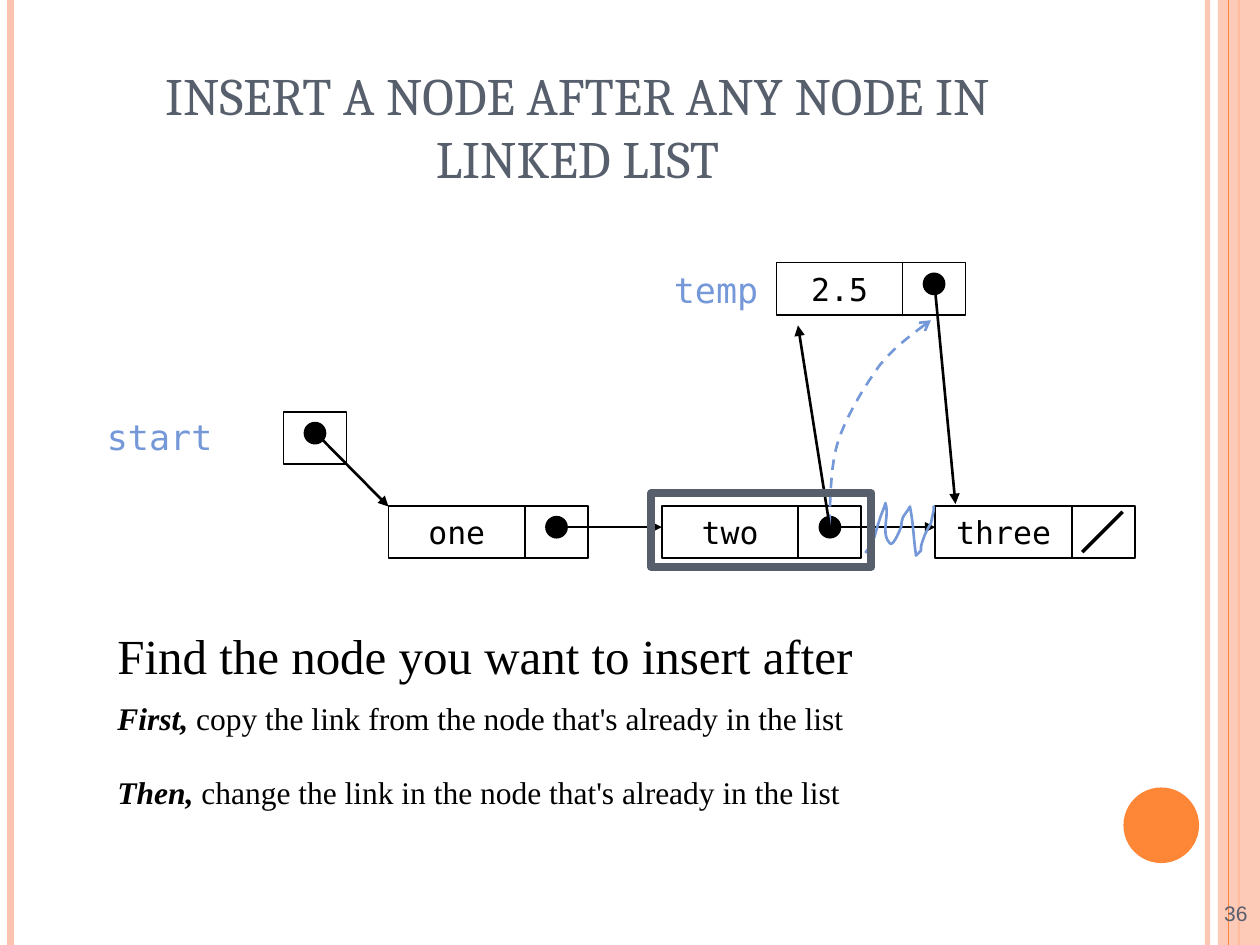
from dataclasses import dataclass

from lxml import etree
from pptx import Presentation
from pptx.dml.color import RGBColor
from pptx.enum.dml import MSO_LINE
from pptx.enum.shapes import MSO_CONNECTOR, MSO_SHAPE
from pptx.enum.text import MSO_ANCHOR, MSO_AUTO_SIZE, PP_ALIGN
from pptx.oxml.ns import qn
from pptx.util import Pt

RECTANGLE, ELLIPSE = MSO_SHAPE.RECTANGLE, MSO_SHAPE.OVAL
STRAIGHT, DASH = MSO_CONNECTOR.STRAIGHT, MSO_LINE.DASH
LEFT, CENTER, RIGHT = PP_ALIGN.LEFT, PP_ALIGN.CENTER, PP_ALIGN.RIGHT
TOP, MIDDLE, BOTTOM = MSO_ANCHOR.TOP, MSO_ANCHOR.MIDDLE, MSO_ANCHOR.BOTTOM
FIXED_SIZE = MSO_AUTO_SIZE.NONE

BLACK, SLATE, BLUE, ORANGE, PEACH = "000000", "575F6D", "7598D9", "FE8637", "FEC3AE"
MONO, SERIF = "DejaVu Sans Mono", "Times New Roman"
TITLE_ONLY = 5
SLIDE_WIDTH, SLIDE_HEIGHT = 720, 540
CELL_HEIGHT, POINTER_WIDTH, DOT_SIZE = 30, 36, 12
LIST_LEFT, LIST_TOP, NODE_PITCH, VALUE_WIDTH = 222, 289, 156.25, 78


@dataclass
class Node:
    left: float
    top: float
    value: str
    width: float = VALUE_WIDTH
    has_dot: bool = True


@dataclass
class Line:
    start: tuple[float, float]
    end: tuple[float, float]
    color: str = BLACK
    width: float = 1.5
    head: str | None = None
    opacity: int = 100


@dataclass
class Caption:
    box: tuple[float, float, float, float]
    text: str
    size: float
    font: str
    color: str = BLACK
    lead: str = ""
    alignment: PP_ALIGN = LEFT
    anchor: MSO_ANCHOR = TOP


def rgb(color: str) -> RGBColor:
    return RGBColor.from_string(color)


def set_opacity(shape, percent: int) -> None:
    for color in shape.element.spPr.iter(qn("a:srgbClr")):
        etree.SubElement(color, qn("a:alpha")).set("val", str(percent * 1000))


def set_arrowhead(shape, head: str) -> None:
    outline = shape.element.spPr.find(qn("a:ln"))
    etree.SubElement(outline, qn("a:tailEnd")).set("type", head)


def write(text_frame, text: str, *, size: float, font: str, color: str = BLACK,
          bold: bool = False, italic: bool = False, alignment=LEFT, anchor=TOP,
          wrap: bool = True) -> None:
    """Append one formatted run to the last paragraph."""
    text_frame.word_wrap = wrap
    text_frame.vertical_anchor = anchor
    paragraph = text_frame.paragraphs[-1]
    paragraph.alignment = alignment
    run = paragraph.add_run()
    run.text = text
    run.font.size, run.font.name = Pt(size), font
    run.font.bold, run.font.italic = bold, italic
    run.font.color.rgb = rgb(color)


def draw_shape(slide, kind, left: float, top: float, width: float, height: float,
               fill: str | None = None, line: str | None = None, line_width: float = 1):
    shape = slide.shapes.add_shape(kind, Pt(left), Pt(top), Pt(width), Pt(height))
    shape.shadow.inherit = False
    if fill:
        shape.fill.solid()
        shape.fill.fore_color.rgb = rgb(fill)
    else:
        shape.fill.background()
    if line:
        shape.line.color.rgb = rgb(line)
        shape.line.width = Pt(line_width)
    else:
        shape.line.fill.background()
    return shape


def draw_line(slide, line: Line) -> None:
    connector = slide.shapes.add_connector(
        STRAIGHT, *(Pt(value) for value in (*line.start, *line.end)))
    connector.line.color.rgb = rgb(line.color)
    connector.line.width = Pt(line.width)
    if line.head:
        set_arrowhead(connector, line.head)
    if line.opacity < 100:
        set_opacity(connector, line.opacity)
    etree.SubElement(connector.element.spPr, qn("a:effectLst"))


def draw_pointer(slide, left: float, top: float, has_dot: bool = True) -> None:
    draw_shape(slide, RECTANGLE, left, top, POINTER_WIDTH, CELL_HEIGHT, line=BLACK)
    if has_dot:
        draw_shape(slide, ELLIPSE, left + 12, top + 6.25, DOT_SIZE, DOT_SIZE, BLACK, BLACK)


def draw_node(slide, node: Node) -> None:
    cell = draw_shape(slide, RECTANGLE, node.left, node.top, node.width, CELL_HEIGHT, line=BLACK)
    write(cell.text_frame, node.value, size=18, font=MONO,
          alignment=CENTER, anchor=MIDDLE, wrap=False)
    draw_pointer(slide, node.left + node.width, node.top, node.has_dot)


def draw_caption(slide, caption: Caption) -> None:
    text_frame = slide.shapes.add_textbox(*(Pt(value) for value in caption.box)).text_frame
    style = dict(size=caption.size, font=caption.font, color=caption.color,
                 alignment=caption.alignment, anchor=caption.anchor)
    if caption.lead:
        write(text_frame, caption.lead, bold=True, italic=True, **style)
    write(text_frame, caption.text, **style)


def draw_curve(slide, points: list[tuple[float, float]], steps: int = 10):
    """Draw joined cubic Bezier pieces: a start, then two controls and an end for each."""
    builder = slide.shapes.build_freeform(Pt(points[0][0]), Pt(points[0][1]))
    for first in range(0, len(points) - 1, 3):
        piece = points[first:first + 4]
        samples = []
        for t in (step / steps for step in range(1, steps + 1)):
            weights = ((1 - t) ** 3, 3 * t * (1 - t) ** 2, 3 * t * t * (1 - t), t ** 3)
            samples.append(tuple(
                Pt(sum(weight * point[axis] for weight, point in zip(weights, piece)))
                for axis in (0, 1)))
        builder.add_line_segments(samples, close=False)
    curve = builder.convert_to_shape()
    curve.shadow.inherit = False
    curve.fill.background()
    curve.line.color.rgb = rgb(BLUE)
    curve.line.width = Pt(1.5)
    return curve


def draw_background(slide) -> None:
    for x, color, width, opacity in ((690, PEACH, 3, 93), (6, PEACH, 4.5, 100),
                                     (708, ORANGE, 1.5, 100)):
        draw_line(slide, Line((x, 0), (x, SLIDE_HEIGHT), color, width, opacity=opacity))
    band = draw_shape(slide, RECTANGLE, 696, 0, 24, SLIDE_HEIGHT, PEACH)
    set_opacity(band, 87)
    draw_line(slide, Line((702, 0), (702, SLIDE_HEIGHT), ORANGE, 0.75))
    draw_shape(slide, ELLIPSE, 642, 450, 43.2, 43.2, ORANGE)


def main() -> None:
    presentation = Presentation()
    presentation.slide_width, presentation.slide_height = Pt(SLIDE_WIDTH), Pt(SLIDE_HEIGHT)
    slide = presentation.slides.add_slide(presentation.slide_layouts[TITLE_ONLY])
    draw_background(slide)

    title = slide.shapes.title
    title.left, title.top, title.width, title.height = Pt(36), Pt(21.6), Pt(588), Pt(90)
    title.text_frame.auto_size = FIXED_SIZE
    write(title.text_frame, "INSERT A NODE AFTER ANY NODE IN LINKED LIST", size=30,
          font="Cambria", color=SLATE, alignment=CENTER, anchor=BOTTOM)

    one, two, three = (
        Node(LIST_LEFT + index * NODE_PITCH, LIST_TOP, value, has_dot=value != "three")
        for index, value in enumerate(("one", "two", "three")))
    temp = Node(443.75, 150, "2.5", width=72)
    for node in (three, two, one, temp):
        draw_node(slide, node)
    draw_pointer(slide, 162, 235.25)
    for node, following in ((one, two), (two, three)):
        y = node.top + 12.25
        draw_line(slide, Line((node.left + 96, y), (following.left, y), width=1, head="triangle"))

    for caption in (
        Caption((54, 234, 114, 32), "start", 20, MONO, BLUE),
        Caption((378, 150, 66, 32), "temp", 20, MONO, BLUE),
        Caption((60, 354, 582, 41), "Find the node you want to insert after", 28, SERIF),
        Caption((60, 396, 582, 29), "copy the link from the node that's already in the list",
                18, SERIF, lead="First, "),
        Caption((60, 438, 624, 29), " change the link in the node that's already in the list",
                18, SERIF, lead="Then,"),
        Caption((570, 504, 150, 36), "36", 12, "Arial", SLATE, alignment=RIGHT, anchor=MIDDLE),
    ):
        draw_caption(slide, caption)

    new_link = draw_curve(slide, [
        (474, 300), (474.5, 292), (474, 267), (479, 252), (484, 237), (494, 221),
        (502.5, 209), (512, 197), (525.5, 188), (532, 183)])
    new_link.line.dash_style = DASH
    set_arrowhead(new_link, "arrow")
    for start, end in (((180, 247), (222, 289.5)), ((534, 162), (546, 288)),
                       ((474, 300), (456, 186))):
        draw_line(slide, Line(start, end, head="triangle"))
    draw_curve(slide, [
        (494.5, 316), (500, 309), (499.5, 306.5), (502.5, 297.5), (503.5, 294), (505, 291),
        (506, 287.5), (508.5, 295), (503, 304.5), (508.5, 310.5), (510.5, 313), (515, 301),
        (515, 301), (515.5, 294), (517, 295), (520, 289.5), (522, 299), (522, 308),
        (523.5, 317.5), (529, 312), (524, 317.5), (528, 307), (529, 304), (532, 299),
        (532, 299), (534, 289.5), (533.5, 293), (533.5, 289)])
    draw_shape(slide, RECTANGLE, 372, 282, 126, 42, line=SLATE, line_width=4.5)
    draw_line(slide, Line((618.5, 315.5), (641.5, 292.5), width=2))

    presentation.save("out.pptx")


if __name__ == "__main__":
    main()
